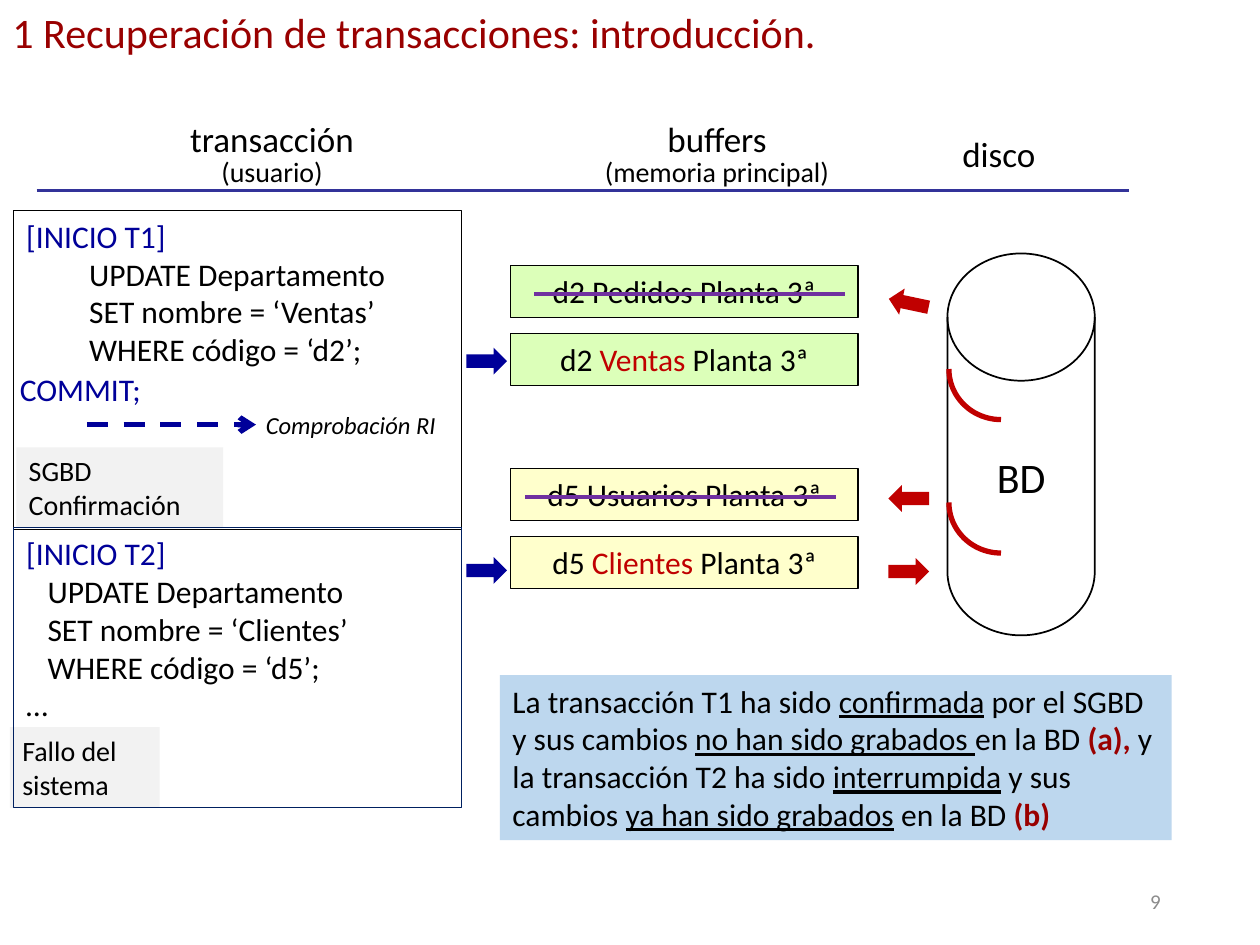
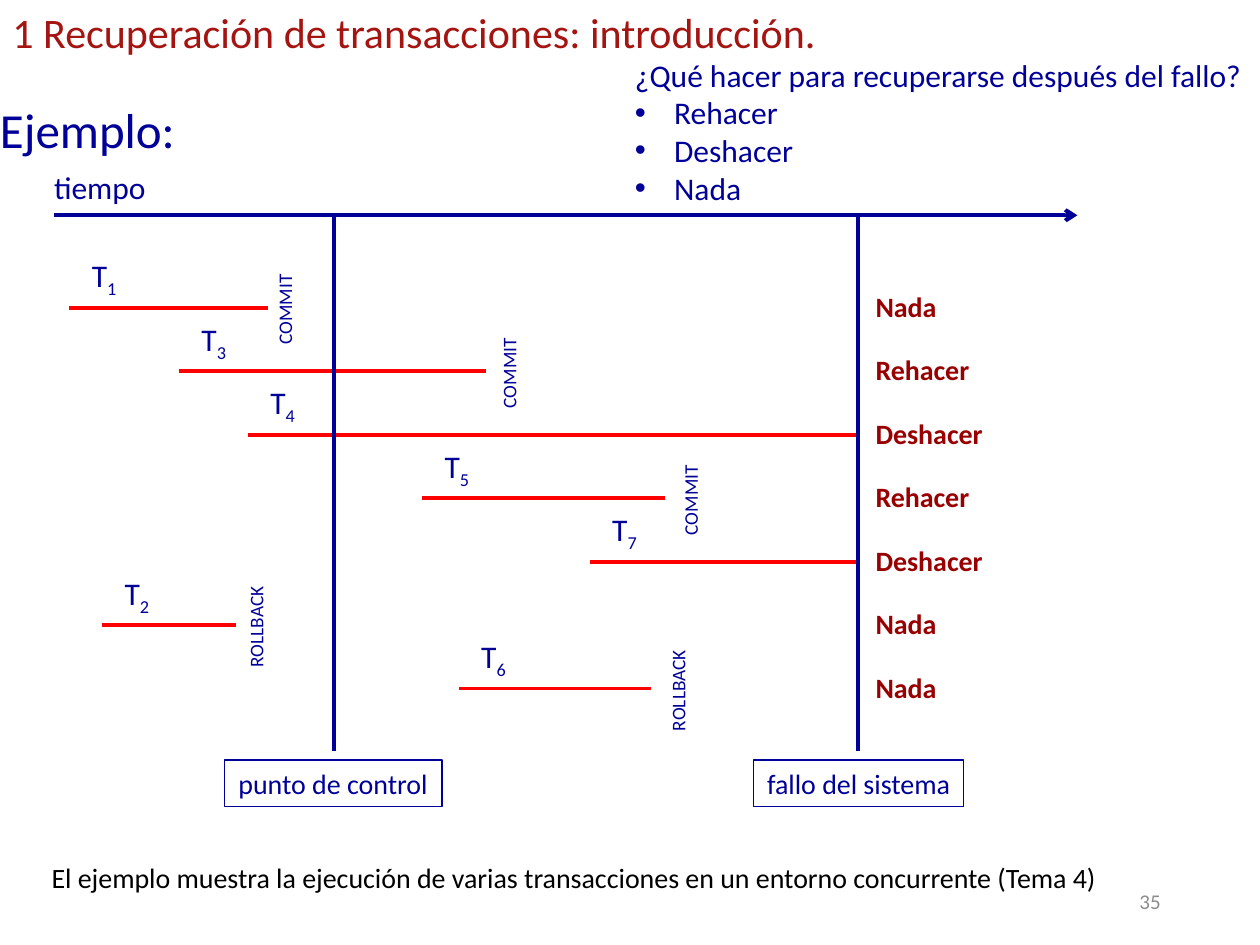
from math import cos, pi, sin

from lxml.etree import SubElement
from pptx import Presentation
from pptx.dml.color import RGBColor
from pptx.enum.dml import MSO_LINE
from pptx.enum.shapes import MSO_CONNECTOR, MSO_SHAPE
from pptx.enum.text import MSO_ANCHOR, MSO_AUTO_SIZE, PP_ALIGN
from pptx.oxml.ns import qn
from pptx.util import Cm, Pt

FONT = "Calibri"
BLACK = RGBColor(0x00, 0x00, 0x00)
BLUE = RGBColor(0x00, 0x00, 0x99)
NAVY = RGBColor(0x00, 0x20, 0x60)
INDIGO = RGBColor(0x33, 0x33, 0x99)
PURPLE = RGBColor(0x70, 0x30, 0xA0)
DARK_RED = RGBColor(0x99, 0x00, 0x00)
BRICK = RGBColor(0xA4, 0x15, 0x12)
RED = RGBColor(0xC0, 0x00, 0x00)
BRIGHT_RED = RGBColor(0xFF, 0x00, 0x00)
GREEN = RGBColor(0xDC, 0xFF, 0xB9)
YELLOW = RGBColor(0xFF, 0xFF, 0xCC)
LIGHT_BLUE = RGBColor(0xBD, 0xD7, 0xEE)
LIGHT_GRAY = RGBColor(0xF2, 0xF2, 0xF2)
GRAY = RGBColor(0x8C, 0x8C, 0x8C)

TITLE = "1 Recuperación de transacciones: introducción."
TITLE_ONLY, TITLE_AND_BODY = 5, 1
CONTROL_X, FAILURE_X = 6.73, 17.3


def write(shape, text, *, size=18, color=BLACK, bold=False, italic=False,
          underline=False, subscript=False, align=PP_ALIGN.LEFT, indent=0,
          bullet=None, line_spacing=None):
    """Append a paragraph; text is a string or a list of (string, overrides)."""
    frame = shape.text_frame
    paragraph = frame.paragraphs[0]
    if paragraph.runs:
        paragraph = frame.add_paragraph()
    paragraph.alignment = align
    paragraph.space_before = Pt(0)
    paragraph.line_spacing = line_spacing
    properties = paragraph._p.get_or_add_pPr()
    properties.set("marL", str(Cm(indent)))
    properties.set("indent", str(-Cm(indent) if bullet else 0))
    if bullet:
        SubElement(properties, qn("a:buFont")).set("typeface", "Arial")
        SubElement(properties, qn("a:buChar")).set("char", bullet)
    else:
        SubElement(properties, qn("a:buNone"))

    base = dict(size=size, color=color, bold=bold, italic=italic,
                underline=underline, subscript=subscript)
    for words, overrides in [(text, {})] if isinstance(text, str) else text:
        style = {**base, **overrides}
        run = paragraph.add_run()
        run.text = words
        font = run.font
        font.name, font.size = FONT, Pt(style["size"])
        font.color.rgb = style["color"]
        font.bold, font.italic = style["bold"], style["italic"]
        font.underline = style["underline"]
        if style["subscript"]:
            run._r.get_or_add_rPr().set("baseline", "-25000")


def prepare_frame(shape, anchor=MSO_ANCHOR.TOP, wrap=True, side_margin=0.25):
    frame = shape.text_frame
    frame.auto_size = MSO_AUTO_SIZE.NONE
    frame.word_wrap = wrap
    frame.vertical_anchor = anchor
    frame.margin_left = frame.margin_right = Cm(side_margin)
    frame.margin_top = frame.margin_bottom = Cm(0.13)


def place(shape, box):
    shape.left, shape.top, shape.width, shape.height = map(Cm, box)


def add_text(slide, box, text=None, *, side_margin=0.25, rotation=0,
             anchor=MSO_ANCHOR.TOP, **style):
    shape = slide.shapes.add_textbox(*map(Cm, box))
    shape.rotation = rotation
    prepare_frame(shape, anchor, side_margin=side_margin)
    if text:
        write(shape, text, **style)
    return shape


def add_shape(slide, kind, box, *, fill=None, line=None, line_width=0.75,
              rotation=0, **frame_options):
    shape = slide.shapes.add_shape(kind, *map(Cm, box))
    shape.shadow.inherit = False
    shape.rotation = rotation
    if fill is None:
        shape.fill.background()
    else:
        shape.fill.solid()
        shape.fill.fore_color.rgb = fill
    if line is None:
        shape.line.fill.background()
    else:
        shape.line.color.rgb = line
        shape.line.width = Pt(line_width)
    prepare_frame(shape, **frame_options)
    return shape


def add_line(slide, start, end, color, width=2.25, dashed=False, arrow=False):
    connector = slide.shapes.add_connector(
        MSO_CONNECTOR.STRAIGHT, *map(Cm, (*start, *end)))
    connector.line.color.rgb = color
    connector.line.width = Pt(width)
    if dashed:
        connector.line.dash_style = MSO_LINE.DASH
    if arrow:
        outline = connector.line._get_or_add_ln()
        SubElement(outline, qn("a:tailEnd")).set("type", "arrow")
    SubElement(connector._element.spPr, qn("a:effectLst"))


def add_quarter_arc(slide, left, top, width, height, color):
    """Draw the lower left quarter of an ellipse."""
    steps = 24
    angles = [pi / 2 * step / steps for step in range(steps + 1)]
    points = [(Cm(left + width * (1 - cos(angle))), Cm(top + height * sin(angle)))
              for angle in angles]
    builder = slide.shapes.build_freeform(*points[0])
    builder.add_line_segments(points[1:], close=False)
    arc = builder.convert_to_shape()
    arc.shadow.inherit = False
    arc.fill.background()
    arc.line.color.rgb = color
    arc.line.width = Pt(3)


def add_slide(presentation, layout, number, title_color):
    slide = presentation.slides.add_slide(presentation.slide_layouts[layout])
    place(slide.shapes.title, (0, 0, 17.5, 1.27))
    prepare_frame(slide.shapes.title)
    write(slide.shapes.title, TITLE, size=24, color=title_color)
    add_text(slide, (17.93, 17.65, 5.72, 1.02), str(number), size=12, color=GRAY,
             align=PP_ALIGN.RIGHT, anchor=MSO_ANCHOR.MIDDLE)
    return slide


def add_column_heading(slide, box, name, detail=None, align=PP_ALIGN.CENTER):
    heading = add_text(slide, box, name, size=20, align=align, indent=1.27)
    if detail:
        write(heading, detail, size=16, align=align, indent=1.27, line_spacing=0.85)


def add_transaction(slide, box, start, statements, line, indent):
    shape = add_shape(slide, MSO_SHAPE.RECTANGLE, box, line=line)
    write(shape, start, color=BLUE)
    for statement in statements:
        write(shape, statement, indent=indent)
    return shape


def add_status(slide, box, *lines):
    status = add_shape(slide, MSO_SHAPE.RECTANGLE, box, fill=LIGHT_GRAY)
    for line in lines:
        write(status, line, size=16)


def add_buffer(slide, top, fill, key, name, strike_left=None):
    shape = add_shape(slide, MSO_SHAPE.RECTANGLE, (10.29, top, 7.01, 1.04),
                      fill=fill, line=BLACK, side_margin=0)
    name_color = BLACK if strike_left else RED
    write(shape, [(f"{key} ", {}), (name, {"color": name_color}),
                  (" Planta 3ª", {})], align=PP_ALIGN.CENTER)
    if strike_left:
        y = top + 0.57
        add_line(slide, (strike_left, y), (strike_left + 6.27, y), PURPLE)


def add_block_arrow(slide, left, top, color, rotation=0):
    add_shape(slide, MSO_SHAPE.LEFT_ARROW, (left, top, 0.82, 0.54),
              fill=color, rotation=rotation)


def build_buffers_slide(presentation):
    slide = add_slide(presentation, TITLE_ONLY, 9, DARK_RED)
    add_column_heading(slide, (0.66, 2.24, 8.38, 1.68), "transacción", "(usuario)")
    add_column_heading(slide, (9.63, 2.24, 8.38, 1.68), "buffers",
                       "(memoria principal)")
    add_column_heading(slide, (17.88, 2.54, 4.88, 1.09), "disco",
                       align=PP_ALIGN.LEFT)
    add_line(slide, (0.74, 3.84), (22.76, 3.84), INDIGO)

    add_transaction(slide, (0.28, 4.24, 9.02, 6.43), "[INICIO T1]",
                    ["UPDATE Departamento", "SET nombre = ‘Ventas’",
                     "WHERE código = ‘d2’;"], BLACK, 1.27)
    add_text(slide, (0.15, 7.32, 3.84, 1.02), "COMMIT;", color=BLUE)
    add_line(slide, (1.75, 8.56), (5.16, 8.56), BLUE, 3, dashed=True, arrow=True)
    add_text(slide, (5.11, 8.13, 4.55, 0.86), "Comprobación RI", size=14, italic=True)
    add_status(slide, (0.33, 9.02, 4.17, 1.63), "SGBD", "Confirmación")
    add_status(slide, (0.2, 14.66, 3.02, 1.63), "Fallo del sistema")
    second = add_transaction(slide, (0.28, 10.64, 9.02, 5.64), "[INICIO T2]",
                             ["UPDATE Departamento", "SET nombre = ‘Clientes’",
                              "WHERE código = ‘d5’;"], NAVY, 0.43)
    write(second, "…")

    add_buffer(slide, 5.36, GREEN, "d2", "Pedidos", strike_left=10.77)
    add_buffer(slide, 6.73, GREEN, "d2", "Ventas")
    add_buffer(slide, 9.45, YELLOW, "d5", "Usuarios", strike_left=10.59)
    add_buffer(slide, 10.82, YELLOW, "d5", "Clientes")
    for top in (7.01, 11.23):
        add_block_arrow(slide, 9.4, top, BLUE, 180)
    for top, rotation in ((5.84, 11.9), (9.78, 0), (11.25, 180)):
        add_block_arrow(slide, 17.91, top, RED, rotation)

    disk = add_shape(slide, MSO_SHAPE.FLOWCHART_MAGNETIC_DISK,
                     (19.1, 5.11, 2.97, 7.7), line=BLACK, line_width=1,
                     anchor=MSO_ANCHOR.MIDDLE, wrap=False)
    write(disk, "BD", size=24, align=PP_ALIGN.CENTER)
    for top in (7.44, 10.13):
        add_quarter_arc(slide, 19.13, top, 1.05, 1.02, RED)

    summary = add_shape(slide, MSO_SHAPE.RECTANGLE, (10.08, 13.61, 13.54, 3.33),
                        fill=LIGHT_BLUE)
    underlined = {"underline": True}
    marked = {"color": DARK_RED, "bold": True}
    write(summary, [
        ("La transacción T1 ha sido ", {}), ("confirmada", underlined),
        (" por el SGBD y sus cambios ", {}), ("no han sido grabados ", underlined),
        ("en la BD ", {}), ("(a), ", marked), ("y la transacción T2 ha sido ", {}),
        ("interrumpida", underlined), (" y sus cambios ", {}),
        ("ya han sido grabados", underlined), (" en la BD ", {}), ("(b)", marked)])


def add_timeline_row(slide, y, number, start, end, ending, ending_x, outcome):
    """Draw one transaction: name, duration, how it ended and what to do."""
    add_text(slide, (start, y - 1.16, 1.4, 1.02),
             [("T", {}), (number, {"subscript": True})],
             color=BLUE, align=PP_ALIGN.CENTER)
    add_line(slide, (start, y), (end, y), BRIGHT_RED)
    if ending:
        add_text(slide, (ending_x - 1.3, y - 0.33, 2.6, 0.74), ending, size=11,
                 color=BLUE, align=PP_ALIGN.CENTER, rotation=270)
    add_text(slide, (17.4, y - 0.5, 2.8, 0.94), outcome, size=16,
             color=DARK_RED, bold=True)


def add_event(slide, x, box, name):
    add_line(slide, (x, 4.34), (x, 15.14), BLUE)
    shape = add_shape(slide, MSO_SHAPE.RECTANGLE, box, line=BLUE, wrap=False)
    write(shape, name, size=16, color=BLUE, align=PP_ALIGN.CENTER)


def build_timeline_slide(presentation):
    slide = add_slide(presentation, TITLE_AND_BODY, 35, BRICK)
    question = slide.placeholders[1]
    place(question, (12.55, 0.99, 12.83, 3.33))
    prepare_frame(question)
    write(question, "¿Qué hacer para recuperarse después del fallo?", color=BLUE)
    for action in ("Rehacer", "Deshacer", "Nada"):
        write(question, action, color=BLUE, indent=0.79, bullet="•")

    add_text(slide, (0, 1.88, 11, 1.45), "Ejemplo:", size=28, color=BLUE,
             side_margin=0)
    add_text(slide, (1.09, 3.25, 3.38, 1.02), "tiempo", color=BLUE, side_margin=0)
    add_line(slide, (1.09, 4.34), (21.72, 4.34), BLUE, arrow=True)

    rows = [
        ("1", 1.4, 5.41, "COMMIT", 5.74, "Nada"),
        ("3", 3.61, 9.8, "COMMIT", 10.26, "Rehacer"),
        ("4", 5, FAILURE_X, None, None, "Deshacer"),
        ("5", 8.51, 13.41, "COMMIT", 13.92, "Rehacer"),
        ("7", 11.89, FAILURE_X, None, None, "Deshacer"),
        ("2", 2.06, 4.75, "ROLLBACK", 5.16, "Nada"),
        ("6", 9.25, 13.13, "ROLLBACK", 13.67, "Nada"),
    ]
    for index, row in enumerate(rows):
        add_timeline_row(slide, 6.2 + 1.28 * index, *row)
    add_event(slide, CONTROL_X, (4.52, 15.32, 4.39, 0.94), "punto de control")
    add_event(slide, FAILURE_X, (15.19, 15.32, 4.24, 0.94), "fallo del sistema")
    add_text(slide, (0.79, 17.22, 23.6, 0.94),
             "El ejemplo muestra la ejecución de varias transacciones "
             "en un entorno concurrente (Tema 4)", size=16)


def main():
    presentation = Presentation()
    presentation.slide_width, presentation.slide_height = Cm(25.4), Cm(19.05)
    build_buffers_slide(presentation)
    build_timeline_slide(presentation)
    presentation.save("out.pptx")


if __name__ == "__main__":
    main()
